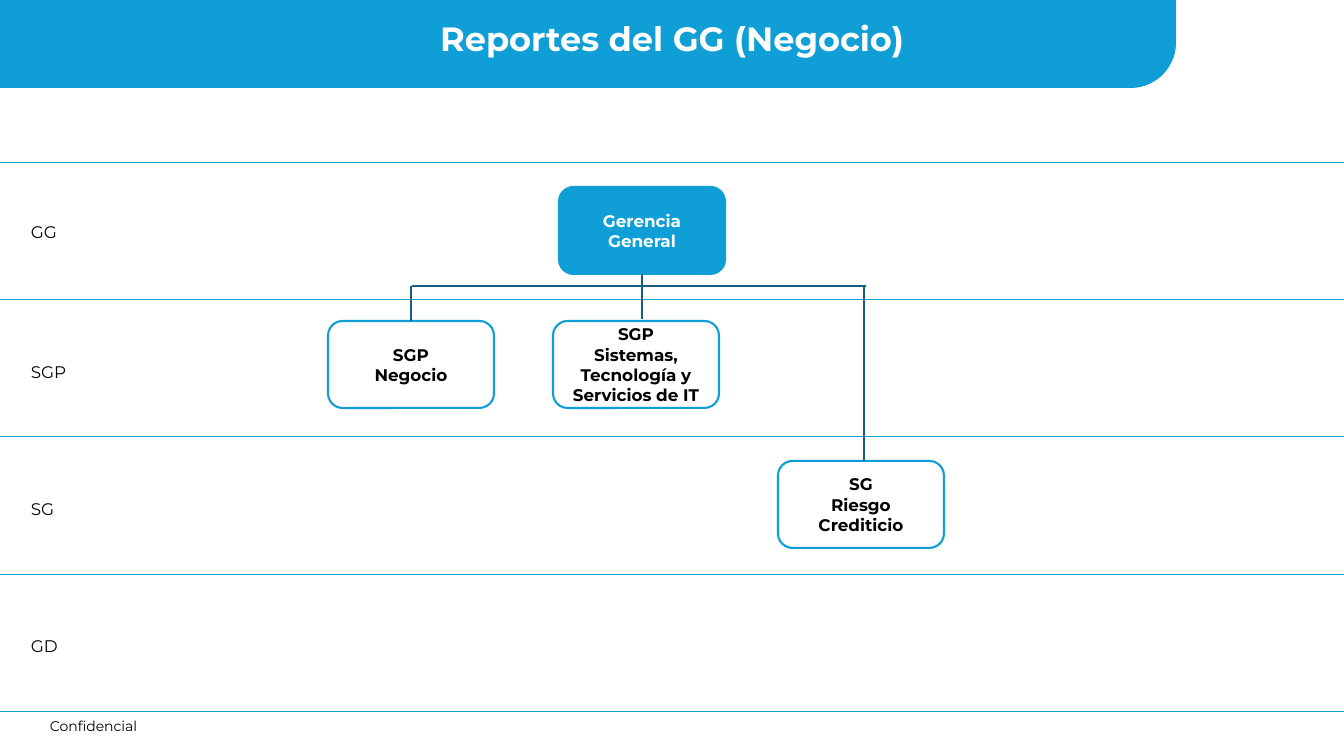
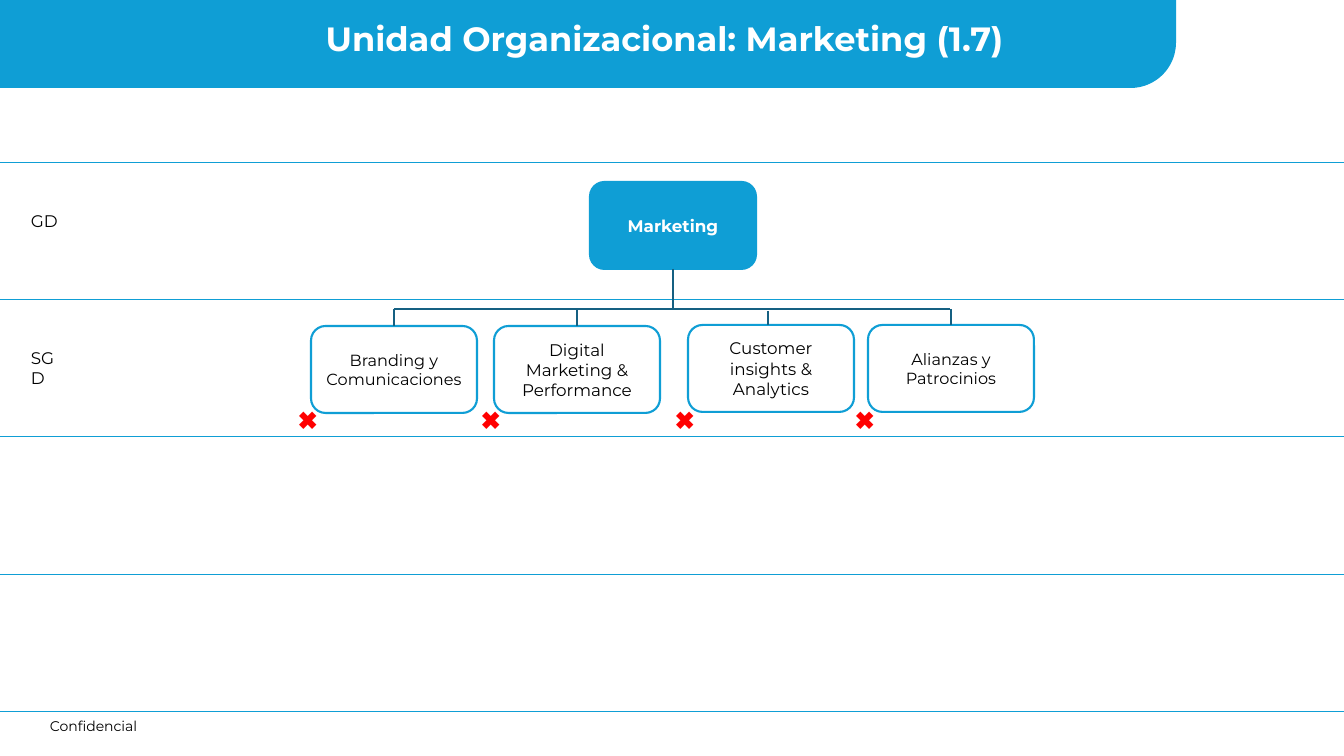
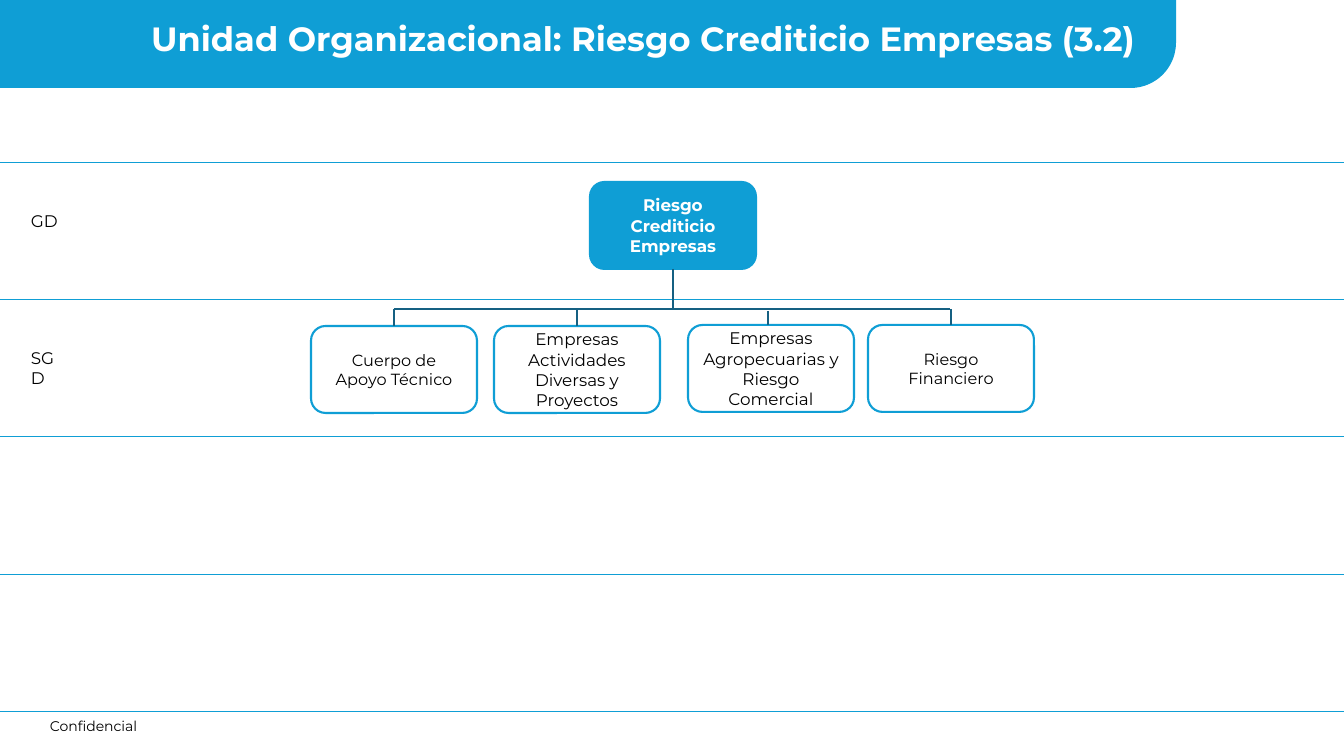
from lxml.etree import SubElement
from pptx import Presentation
from pptx.dml.color import RGBColor
from pptx.enum.shapes import MSO_CONNECTOR, MSO_SHAPE
from pptx.enum.text import MSO_ANCHOR, PP_ALIGN
from pptx.oxml.ns import qn
from pptx.util import Pt

PX = 914400 / 100.8
PAGE_WIDTH, PAGE_HEIGHT = 1344, 756
COLORS = {"blue": "0F9ED5", "link": "156082", "black": "000000",
          "white": "FFFFFF", "red": "FF0000"}
FONT, MARK_FONT = "Montserrat", "Roboto"
ROW_LINES = [162, 299, 436, 574, 711]
BOX_WIDTH, BOX_HEIGHT = 166, 87
LABEL_WIDTHS = {"GG": 46, "SGP": 57, "SG": 44, "GD": 47, "SGD": 57}
TOP, BOTTOM = 0, 2

# Unit: (text, left, top, size, bold). Drop: (x, top, bottom), one per unit.
UNIT_PLACES = [(311, 326, 11.5, False), (494, 326, 12, False),
               (688, 325, 12, False), (868, 325, 11.5, False)]
UNIT_CHART = {
    "levels": [("GD", 206), ("SGD", 343)],
    "root_place": (590, 182),
    "stem_bottom": 309,
    "bus": (394, 950, 309),
    "drops": [(394, 309, 326), (577, 309, 326), (768, 311, 325), (951, 309, 325)],
}


def unit_page(title, title_span, root, names, marked):
    units = [(name, *place) for name, place in zip(names, UNIT_PLACES)]
    return {**UNIT_CHART, "title": title, "title_span": title_span,
            "root": root, "units": units, "marked": marked}


PAGES = [
    {
        "title": "Reportes del GG (Negocio)",
        "title_span": (247, 850),
        "levels": [("GG", 217), ("SGP", 357), ("SG", 494), ("GD", 631)],
        "root": "Gerencia General",
        "root_place": (559, 187),
        "units": [("SGP\nNegocio", 328, 321, 12, True),
                  ("SGP\nSistemas, Tecnología y Servicios de IT", 553, 321, 12, True),
                  ("SG\nRiesgo Crediticio", 778, 461, 12, True)],
        "stem_bottom": 319,
        "bus": (412, 866, 286),
        "drops": [(411, 286, 321), None, (864, 286, 461)],
        "marked": False,
    },
    unit_page("Unidad Organizacional: Marketing (1.7)", (168, 993), "Marketing",
              ["Branding y Comunicaciones", "Digital Marketing & Performance",
               "Customer insights & Analytics", "Alianzas y Patrocinios"], True),
    unit_page("Unidad Organizacional: Riesgo Crediticio Empresas (3.2)", (125, 1036),
              "Riesgo Crediticio Empresas",
              ["Cuerpo de Apoyo Técnico", "Empresas Actividades Diversas y Proyectos",
               "Empresas Agropecuarias y Riesgo Comercial", "Riesgo Financiero"], False),
]


def emu(*lengths):
    return [round(length * PX) for length in lengths]


def rgb(name):
    return RGBColor.from_string(COLORS[name])


def write(shape, text, size, color="black", bold=False, centered=False, font=FONT):
    shape.text_frame.text = text
    for paragraph in shape.text_frame.paragraphs:
        paragraph.alignment = PP_ALIGN.CENTER if centered else PP_ALIGN.LEFT
        for span in paragraph.runs:
            span.font.name = font
            span.font.size = Pt(size)
            span.font.bold = bold
            span.font.color.rgb = rgb(color)


def add_text(page, text, place, size, wrap=False, **style):
    box = page.shapes.add_textbox(*emu(*place))
    box.text_frame.word_wrap = wrap
    write(box, text, size, **style)


def add_line(page, start, end, color, width):
    line = page.shapes.add_connector(MSO_CONNECTOR.STRAIGHT, *emu(*start, *end))
    line.line.color.rgb = rgb(color)
    line.line.width = Pt(width)
    SubElement(line._element.spPr, qn("a:effectLst"))
    return line


def add_link(page, start, end):
    return add_line(page, start, end, "link", 1.5)


def add_unit(page, text, left, top, size, bold, filled=False):
    box = page.shapes.add_shape(MSO_SHAPE.ROUNDED_RECTANGLE,
                                *emu(left, top, BOX_WIDTH, BOX_HEIGHT))
    box.shadow.inherit = False
    if filled:
        box.fill.solid()
        box.fill.fore_color.rgb = rgb("blue")
    else:
        box.fill.background()
    box.line.color.rgb = rgb("blue")
    box.line.width = Pt(1.5)
    box.text_frame.word_wrap = True
    box.text_frame.vertical_anchor = MSO_ANCHOR.MIDDLE
    write(box, text, size, "white" if filled else "black", bold, centered=True)
    return box


def add_frame(page, title, title_span):
    """Draw what every slide shares: footer, row lines, band and title."""
    add_text(page, "Confidencial", (40, 713, 109, 27), 10)
    for y in ROW_LINES:
        add_line(page, (0, y), (PAGE_WIDTH, y), "blue", 0.5)
    band = page.shapes.add_shape(MSO_SHAPE.ROUND_1_RECTANGLE, *emu(0, -3, 1176, 91))
    band.adjustments[0] = 0.5
    band.rotation = 180
    band._element.spPr.xfrm.set("flipH", "1")
    band.shadow.inherit = False
    band.fill.solid()
    band.fill.fore_color.rgb = rgb("blue")
    band.line.fill.background()
    left, width = title_span
    add_text(page, title, (left, 13, width, 50), 24, wrap=True,
             color="white", bold=True, centered=True)


def add_chart_tree(page, content):
    left, top = content["root_place"]
    root = add_unit(page, content["root"], left, top, 12, True, filled=True)
    middle = left + BOX_WIDTH / 2
    stem = add_link(page, (middle, top + BOX_HEIGHT), (middle, content["stem_bottom"]))
    stem.begin_connect(root, BOTTOM)

    bus_left, bus_right, bus_y = content["bus"]
    add_link(page, (bus_left, bus_y), (bus_right, bus_y))

    for unit, drop in zip(content["units"], content["drops"]):
        box = add_unit(page, *unit)
        unit_left, unit_top = unit[1:3]
        if drop:
            x, drop_top, drop_bottom = drop
            link = add_link(page, (x, drop_top), (x, drop_bottom))
            if x == unit_left + BOX_WIDTH / 2:
                link.end_connect(box, TOP)
        if content["marked"]:
            add_text(page, "✖︎", (unit_left - 23, 399, 45, 40), 18,
                     color="red", font=MARK_FONT)


def main():
    deck = Presentation()
    deck.slide_width, deck.slide_height = emu(PAGE_WIDTH, PAGE_HEIGHT)
    for content in PAGES:
        page = deck.slides.add_slide(deck.slide_layouts[6])
        add_frame(page, content["title"], content["title_span"])
        for label, top in content["levels"]:
            add_text(page, label, (21, top, LABEL_WIDTHS[label], 30), 12)
        add_chart_tree(page, content)
    deck.save("out.pptx")


if __name__ == "__main__":
    main()
